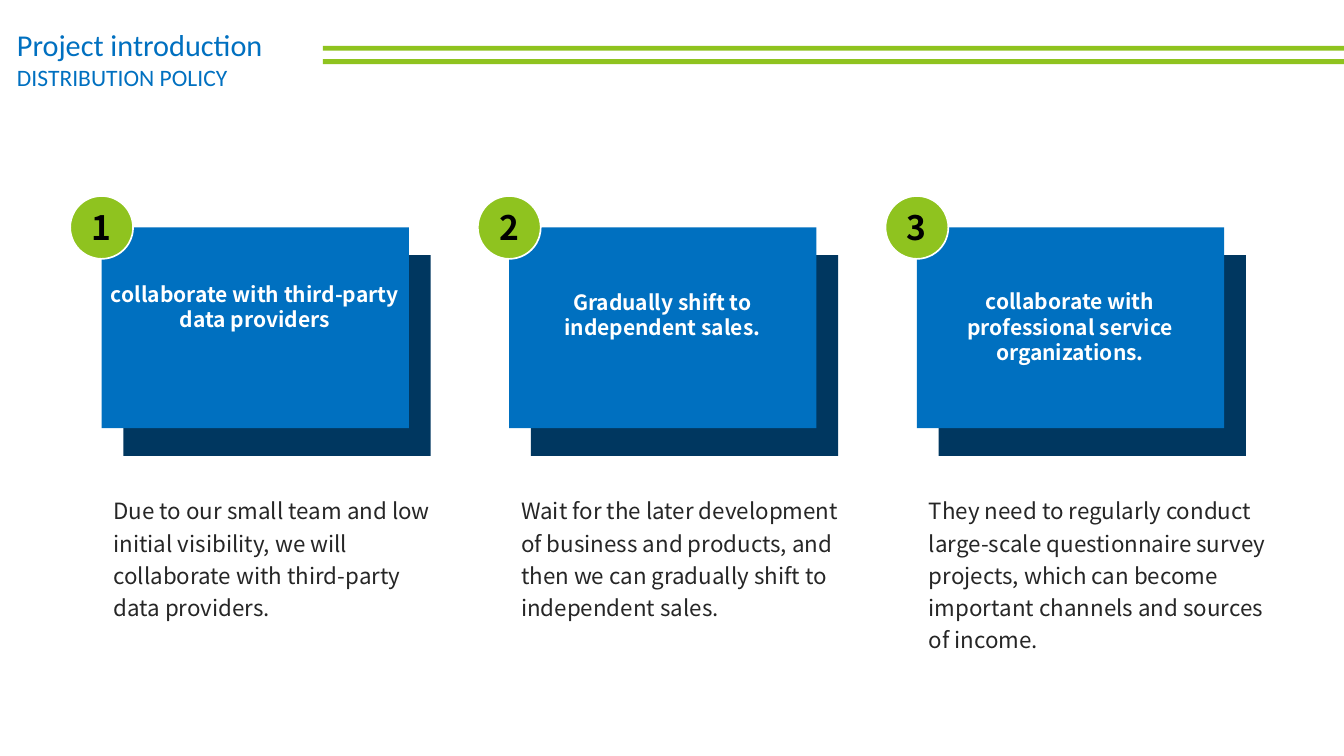
from dataclasses import dataclass

from pptx import Presentation
from pptx.dml.color import RGBColor
from pptx.enum.shapes import MSO_SHAPE as SHAPE
from pptx.enum.text import MSO_ANCHOR as ANCHOR, MSO_AUTO_SIZE as AUTO_SIZE, PP_ALIGN as ALIGN
from pptx.shapes.autoshape import Shape
from pptx.slide import Slide
from pptx.util import Emu, Inches, Pt

BLUE = RGBColor(0x00, 0x70, 0xC0)
NAVY = RGBColor(0x00, 0x37, 0x60)
GREEN = RGBColor(0x8F, 0xC3, 0x1F)
WHITE = RGBColor(0xFF, 0xFF, 0xFF)
BLACK = RGBColor(0x00, 0x00, 0x00)
GREY = RGBColor(0x26, 0x26, 0x26)
TITLE_FONT = "Calibri"
BODY_FONT = "Noto Sans CJK SC"
SLIDE_W, SLIDE_H = Inches(11.11), Inches(6.25)
FIRST_CARD, CARD_PITCH = 7.56, 30.33


@dataclass
class Box:
    """Position and size as percentages of the slide's width and height."""
    left: float
    top: float
    width: float
    height: float

    def emu(self) -> tuple[Emu, Emu, Emu, Emu]:
        return (Emu(int(SLIDE_W * self.left / 100)), Emu(int(SLIDE_H * self.top / 100)),
                Emu(int(SLIDE_W * self.width / 100)), Emu(int(SLIDE_H * self.height / 100)))


@dataclass
class Card:
    heading: str
    heading_top: float
    heading_height: float
    body: str
    body_width: float


CARDS = [
    Card("collaborate with third-party data providers", 36.48, 8.32,
         "Due to our small team and low initial visibility, we will collaborate "
         "with third-party data providers.", 26.1),
    Card("Gradually shift to independent sales.", 37.44, 8.32,
         "Wait for the later development of business and products, and then we can "
         "gradually shift to independent sales.", 26.82),
    Card("collaborate with professional service organizations.", 37.44, 11.68,
         "They need to regularly conduct large-scale questionnaire survey projects, "
         "which can become important channels and sources of income.", 27.99),
]


def add_filled(s: Slide, kind: SHAPE, box: Box, color: RGBColor) -> Shape:
    sp = s.shapes.add_shape(kind, *box.emu())
    sp.shadow.inherit = False
    sp.fill.solid()
    sp.fill.fore_color.rgb = color
    sp.line.fill.background()
    return sp


def format_text(sp: Shape, sizes: list[float], color: RGBColor, font: str,
                bold: bool = False, align: ALIGN = ALIGN.LEFT) -> None:
    for p, size in zip(sp.text_frame.paragraphs, sizes):
        p.alignment = align
        for r in p.runs:
            r.font.name = font
            r.font.size = Pt(size)
            r.font.bold = bold
            r.font.color.rgb = color


def add_text(s: Slide, box: Box, text: str) -> Shape:
    sp = s.shapes.add_textbox(*box.emu())
    sp.text_frame.word_wrap = True
    sp.text_frame.text = text
    return sp


def add_title(s: Slide) -> None:
    sp = s.shapes.title
    sp.left, sp.top, sp.width, sp.height = Box(0.36, 2.72, 27.18, 10.24).emu()
    tf = sp.text_frame
    tf.text = "Project introduction\nDISTRIBUTION POLICY"
    tf.auto_size = AUTO_SIZE.NONE
    tf.vertical_anchor = ANCHOR.TOP
    format_text(sp, [18, 14], BLUE, TITLE_FONT)


def add_badge(s: Slide, left: float, number: int) -> None:
    sp = add_filled(s, SHAPE.OVAL, Box(left, 25.92, 4.68, 8.32), GREEN)
    sp.line.color.rgb = WHITE
    sp.line.width = Pt(1)
    tf = sp.text_frame
    tf.text = str(number)
    tf.margin_left = tf.margin_right = tf.margin_top = tf.margin_bottom = 0
    tf.vertical_anchor = ANCHOR.MIDDLE
    format_text(sp, [20], BLACK, BODY_FONT, True, ALIGN.CENTER)


def add_card(s: Slide, card: Card, index: int) -> None:
    left = FIRST_CARD + index * CARD_PITCH
    add_filled(s, SHAPE.RECTANGLE, Box(left + 1.62, 33.76, 22.86, 26.56), NAVY)
    add_filled(s, SHAPE.RECTANGLE, Box(left, 30.08, 22.86, 26.56), BLUE)
    body = add_text(s, Box(left, 64.32, card.body_width, 17.76), card.body)
    body.text_frame.paragraphs[0].line_spacing = 1.2
    format_text(body, [13.3], GREY, BODY_FONT)
    add_badge(s, left - 2.34, index + 1)
    heading = add_text(
        s, Box(left - 0.63, card.heading_top, 24.03, card.heading_height), card.heading)
    format_text(heading, [12.5], WHITE, BODY_FONT, True, ALIGN.CENTER)


def main() -> None:
    prs = Presentation()
    prs.slide_width, prs.slide_height = SLIDE_W, SLIDE_H
    s = prs.slides.add_slide(prs.slide_layouts[5])
    add_title(s)
    for top in (6.08, 7.84):
        add_filled(s, SHAPE.RECTANGLE, Box(24.03, top, 75.97, 0.64), GREEN)
    for index, card in enumerate(CARDS):
        add_card(s, card, index)
    prs.save("out.pptx")


if __name__ == "__main__":
    main()
